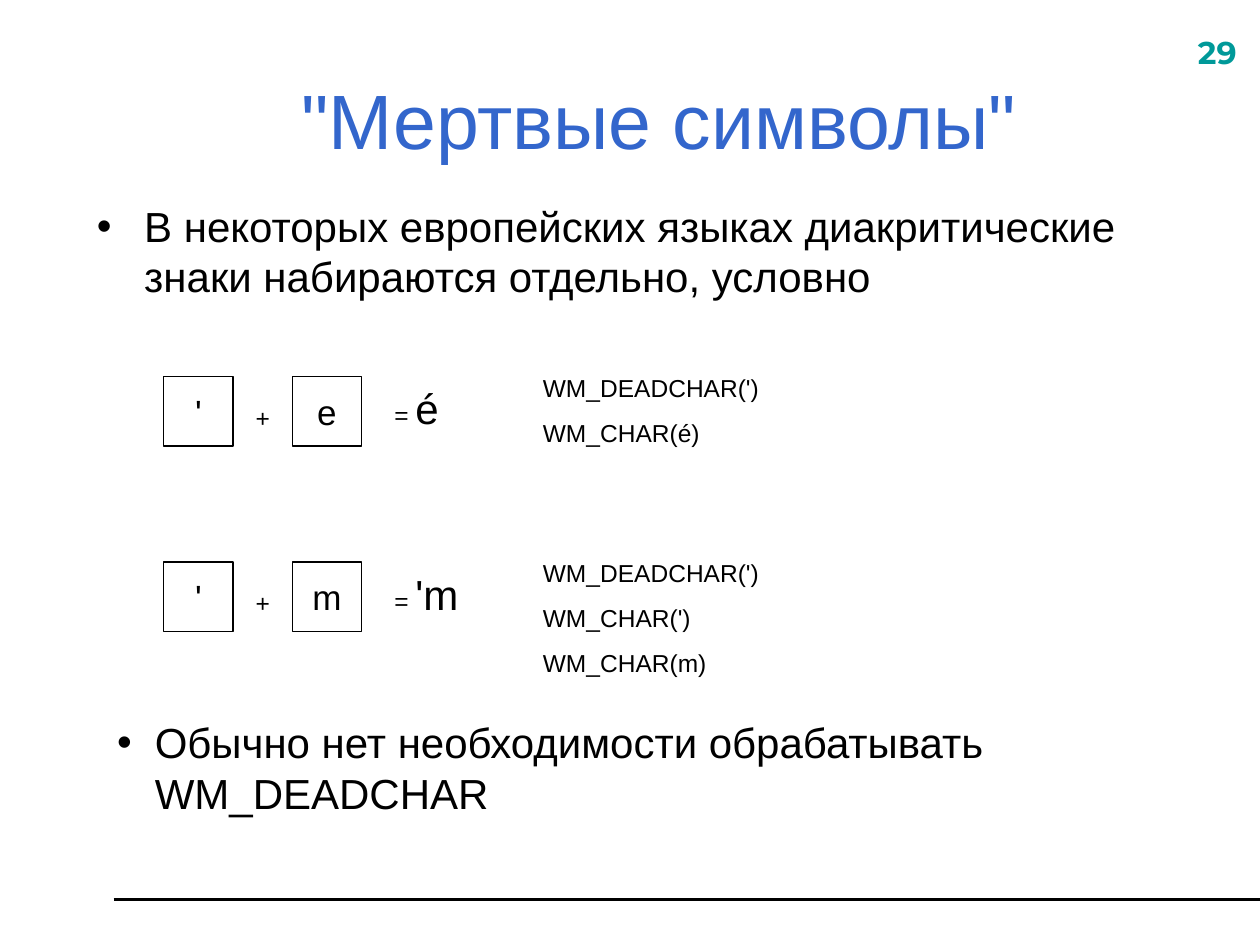
from dataclasses import dataclass

from lxml import etree
from pptx import Presentation
from pptx.dml.color import RGBColor
from pptx.enum import shapes, text
from pptx.oxml import ns
from pptx.util import Pt

COLORS = {"ink": "000000", "title": "3366CC", "number": "009999"}
KEY_SIZE = 39.6


@dataclass
class Combination:
    """Two keys pressed in turn, what they produce and the messages sent."""
    top: float
    keys: tuple[str, str]
    outcome: str
    messages: tuple[str, ...]


COMBINATIONS = [
    Combination(215.3, ("'", "e"), "é", ("WM_DEADCHAR(')", "WM_CHAR(é)")),
    Combination(321.1, ("'", "m"), "'m",
                ("WM_DEADCHAR(')", "WM_CHAR(')", "WM_CHAR(m)")),
]


def style_font(font, size: float, color: str = "ink", name: str = "Arial") -> None:
    font.name = name
    font.size = Pt(size)
    font.color.rgb = RGBColor.from_string(COLORS[color])


def place(shape, left: float, top: float, width: float, height: float) -> None:
    shape.left, shape.top = Pt(left), Pt(top)
    shape.width, shape.height = Pt(width), Pt(height)


def add_label(slide, left: float, top: float, width: float, height: float,
              content: str, size: float, gap: float = 0):
    """Add a wrapping text box; gap separates its paragraphs."""
    label = slide.shapes.add_textbox(Pt(left), Pt(top), Pt(width), Pt(height))
    frame = label.text_frame
    frame.word_wrap = True
    frame.text = content
    for index, paragraph in enumerate(frame.paragraphs):
        paragraph.space_before = Pt(gap if index else 0)
        for run in paragraph.runs:
            style_font(run.font, size)
    return frame


def add_bullet(paragraph, indent: float) -> None:
    properties = paragraph._p.get_or_add_pPr()
    properties.set("marL", str(Pt(indent)))
    properties.set("indent", str(-Pt(indent)))
    color = etree.SubElement(properties, ns.qn("a:buClr"))
    etree.SubElement(color, ns.qn("a:srgbClr"), val=COLORS["ink"])
    etree.SubElement(properties, ns.qn("a:buFont"), typeface="Arial")
    etree.SubElement(properties, ns.qn("a:buChar"), char="•")


def add_key(slide, left: float, top: float, symbol: str) -> None:
    key = slide.shapes.add_shape(shapes.MSO_SHAPE.RECTANGLE, Pt(left), Pt(top),
                                 Pt(KEY_SIZE), Pt(KEY_SIZE))
    key.shadow.inherit = False
    key.fill.background()
    key.line.color.rgb = RGBColor.from_string(COLORS["ink"])
    key.line.width = Pt(0.75)
    frame = key.text_frame
    frame.word_wrap = False
    frame.vertical_anchor = text.MSO_ANCHOR.MIDDLE
    frame.text = symbol
    frame.paragraphs[0].alignment = text.PP_ALIGN.CENTER
    style_font(frame.paragraphs[0].runs[0].font, 20)


def add_combination(slide, combination: Combination) -> None:
    top = combination.top
    first, second = combination.keys
    add_key(slide, 93.6, top, first)
    add_label(slide, 139, top + 11.5, 45.4, 24.5, "+", 14)
    add_key(slide, 167, top, second)
    equation = add_label(slide, 218.2, top, 56.9, 36, "= ", 14)
    outcome = equation.paragraphs[0].add_run()
    outcome.text = combination.outcome
    style_font(outcome.font, 24)
    add_label(slide, 303.1, top - 5.8, 323.3, 24 + 25.7 * (len(combination.messages) - 1),
              "\n".join(combination.messages), 14, gap=8.8)


def add_footer_rule(slide) -> None:
    rule = slide.shapes.add_connector(shapes.MSO_CONNECTOR.STRAIGHT,
                                      Pt(65), Pt(514), Pt(720), Pt(514))
    rule.line.color.rgb = RGBColor.from_string(COLORS["ink"])
    rule.line.width = Pt(1.25)
    etree.SubElement(rule._element.spPr, ns.qn("a:effectLst"))


def fill_title(title) -> None:
    place(title, 52.6, 23, 648, 90)
    frame = title.text_frame
    frame.text = '"Мертвые символы"'
    frame.auto_size = text.MSO_AUTO_SIZE.NONE
    frame.vertical_anchor = text.MSO_ANCHOR.MIDDLE
    frame.paragraphs[0].alignment = text.PP_ALIGN.CENTER
    style_font(frame.paragraphs[0].runs[0].font, 44, "title")


def fill_body(body) -> None:
    place(body, 48.2, 110.9, 648, 67.7)
    frame = body.text_frame
    frame.text = ("В некоторых европейских языках диакритические "
                  "знаки набираются отдельно, условно")
    frame.auto_size = text.MSO_AUTO_SIZE.NONE
    statement = frame.paragraphs[0]
    add_bullet(statement, 27)
    statement.space_before = Pt(0)
    style_font(statement.runs[0].font, 24)


def main() -> None:
    deck = Presentation()
    deck.slide_width, deck.slide_height = Pt(720), Pt(540)
    slide = deck.slides.add_slide(deck.slide_layouts[1])

    add_footer_rule(slide)
    number = add_label(slide, 677.5, 15.1, 45.4, 31.7, "29", 18)
    number_font = number.paragraphs[0].runs[0].font
    style_font(number_font, 18, "number", "Montserrat")
    number_font.bold = True

    fill_title(slide.shapes.title)
    fill_body(slide.placeholders[1])
    for combination in COMBINATIONS:
        add_combination(slide, combination)

    conclusion = add_label(slide, 59.8, 406.1, 585.4, 64.8,
                           "Обычно нет необходимости обрабатывать WM_DEADCHAR", 24)
    add_bullet(conclusion.paragraphs[0], 21.6)
    deck.save("out.pptx")


if __name__ == "__main__":
    main()
